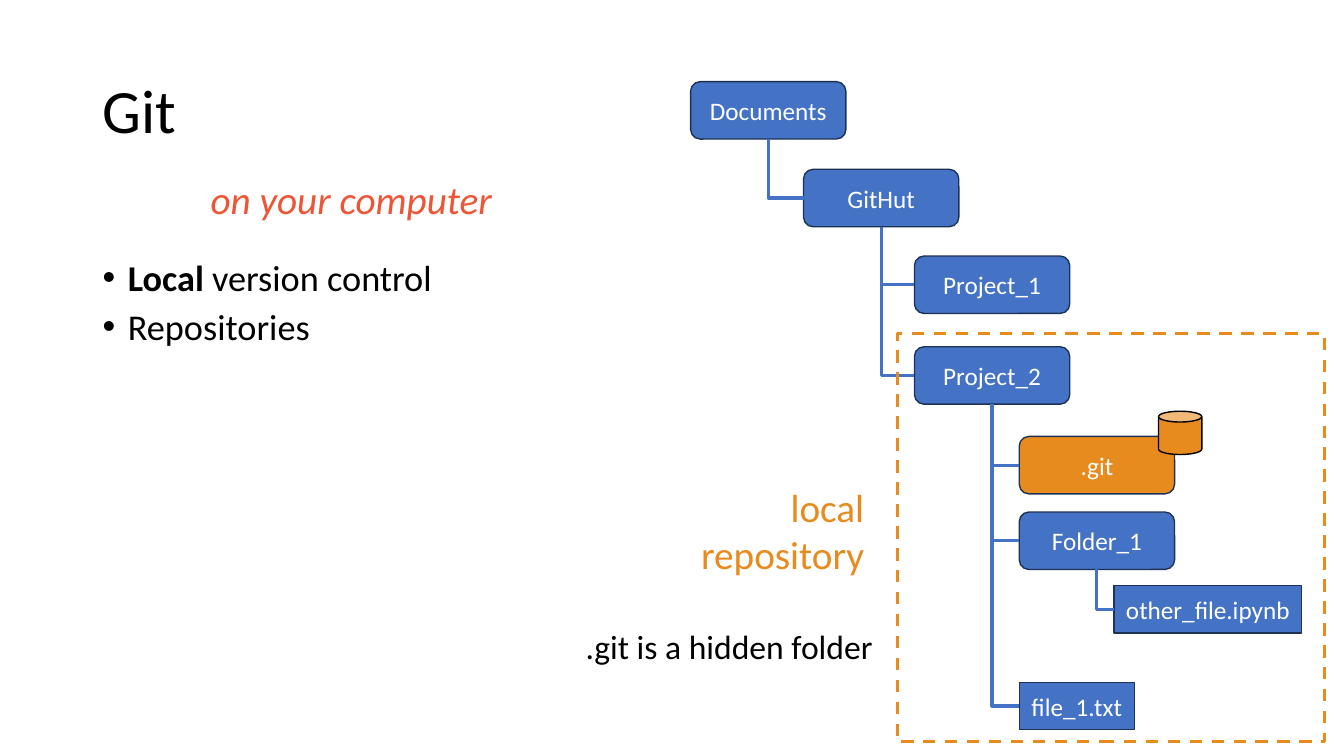
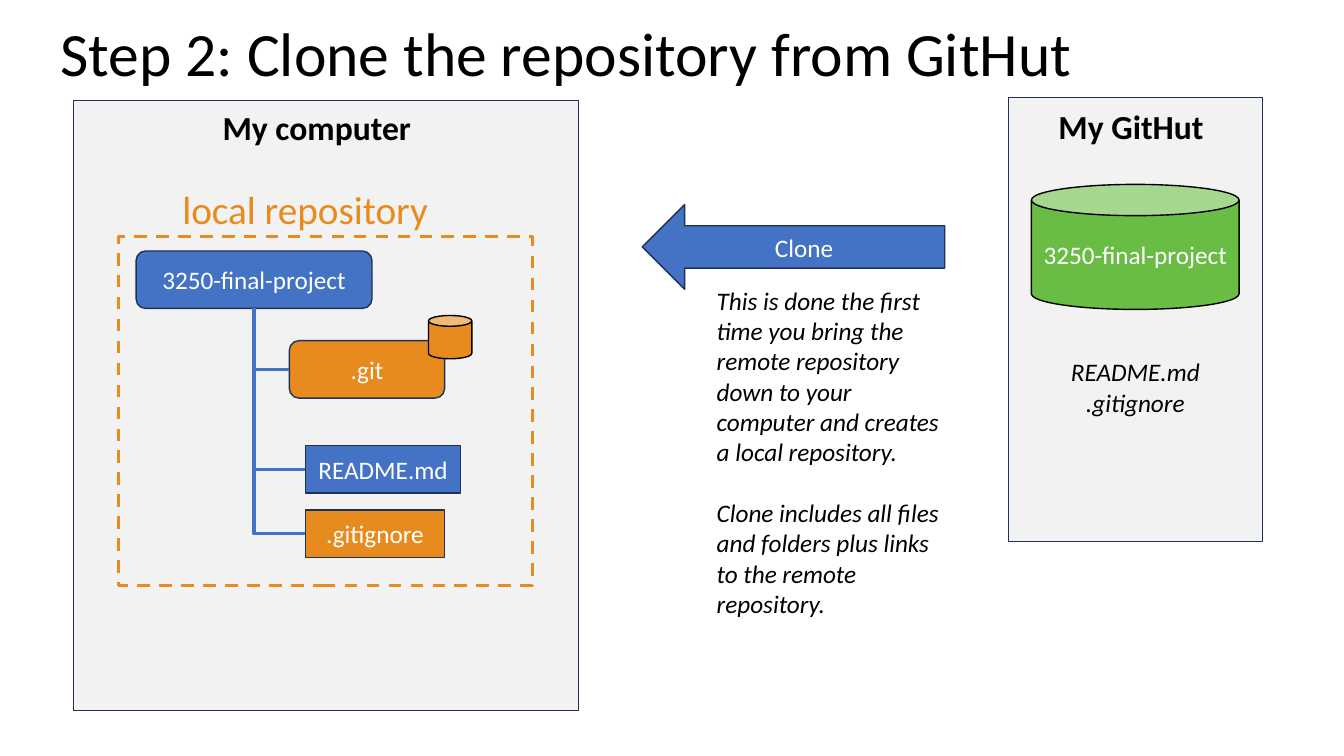
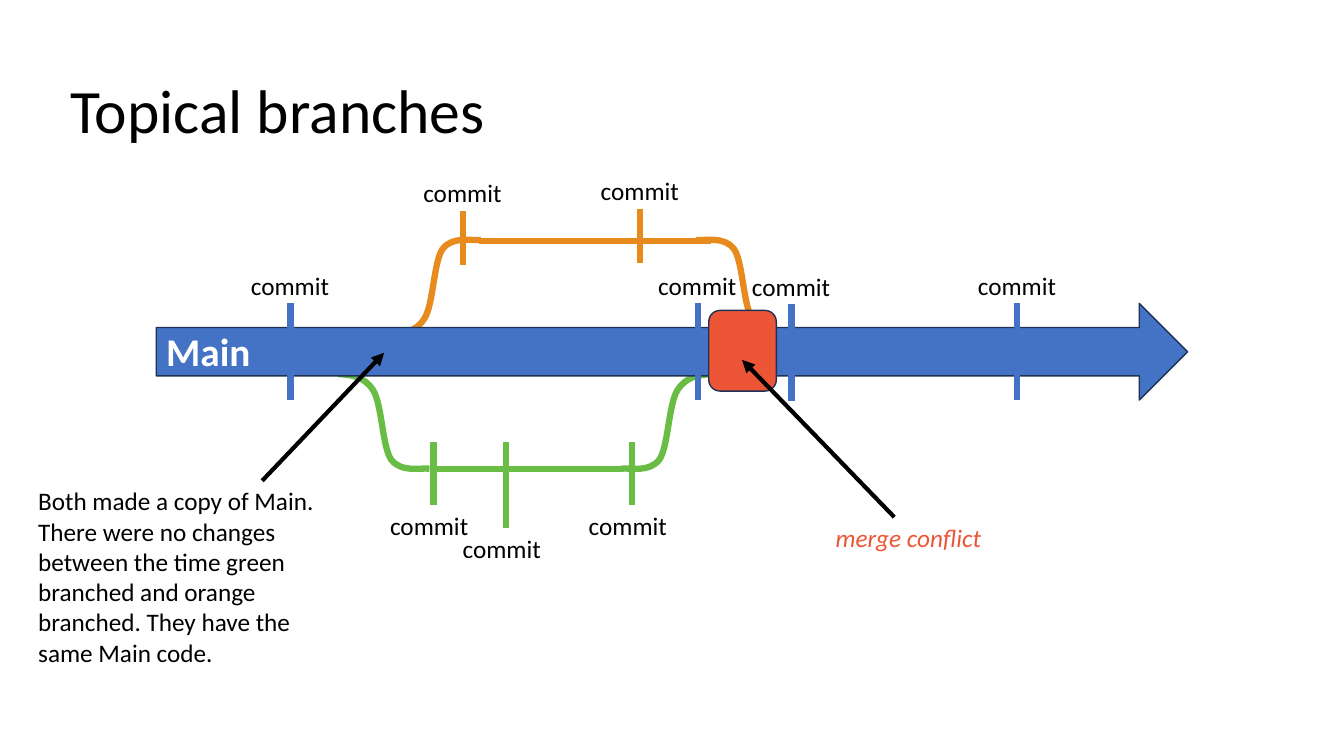
from lxml.etree import SubElement
from pptx import Presentation
from pptx.dml.color import RGBColor
from pptx.enum.dml import MSO_LINE
from pptx.enum.shapes import MSO_CONNECTOR, MSO_SHAPE
from pptx.enum.text import MSO_ANCHOR, PP_ALIGN
from pptx.oxml.ns import qn
from pptx.util import Inches, Pt

FONT = "Calibri"
BLACK, WHITE, PANEL = "000000", "FFFFFF", "F2F2F2"
BLUE, NAVY, ORANGE, GREEN, RED = "4472C4", "1E3256", "E88B1F", "6ABD44", "EC5637"

LEFT_SIDE, BOTTOM_SIDE = 1, 2
BRANCH_CURVE = [
    (0.13, 0.01), (0.26, 0.02), (0.35, 0.16),
    (0.44, 0.3), (0.44, 0.72), (0.53, 0.85),
    (0.63, 0.98), (0.81, 0.93), (0.91, 0.94),
]


def color(value):
    return RGBColor.from_string(value)


def write(frame, text, size=18, ink=BLACK, bold=False, italic=False, align=PP_ALIGN.LEFT,
          anchor=MSO_ANCHOR.TOP, wrap=True, spacing=None, before=0, bullet=False):
    frame.word_wrap = wrap
    frame.vertical_anchor = anchor
    for index, line in enumerate(text.split("\n")):
        para = frame.paragraphs[0] if index == 0 else frame.add_paragraph()
        if bullet:
            properties = para._p.get_or_add_pPr()
            properties.set("marL", str(Inches(0.25)))
            properties.set("indent", str(-Inches(0.25)))
            SubElement(properties, qn("a:buFont"), typeface="Arial")
            SubElement(properties, qn("a:buChar"), char="•")
        para.alignment = align
        if spacing:
            para.line_spacing = spacing
        if index and before:
            para.space_before = Pt(before)
        for part, piece in enumerate(line.split("**")):
            if piece:
                span = para.add_run()
                span.text = piece
                font = span.font
                font.name, font.size = FONT, Pt(size)
                font.bold, font.italic = bold or part % 2 == 1, italic
                font.color.rgb = color(ink)


class Deck:
    def __init__(self):
        self.deck = Presentation()
        self.deck.slide_width, self.deck.slide_height = Inches(13.33), Inches(7.5)
        self.page = None

    def add_page(self, title, left, top=0.4, width=11.5, height=1.45):
        self.page = self.deck.slides.add_slide(self.deck.slide_layouts[6])
        self.text(title, left, top, width, height, size=44, spacing=0.9,
                  anchor=MSO_ANCHOR.MIDDLE)

    def text(self, text, left, top, width, height, **style):
        box = self.page.shapes.add_textbox(*map(Inches, (left, top, width, height)))
        write(box.text_frame, text, **style)

    def shape(self, kind, left, top, width, height, text="", fill=BLUE, line=NAVY,
              weight=1, dashed=False):
        shape = self.page.shapes.add_shape(kind, *map(Inches, (left, top, width, height)))
        shape.shadow.inherit = False
        if fill:
            shape.fill.solid()
            shape.fill.fore_color.rgb = color(fill)
        else:
            shape.fill.background()
        shape.line.color.rgb = color(line)
        shape.line.width = Pt(weight)
        if dashed:
            shape.line.dash_style = MSO_LINE.DASH
        if text:
            write(shape.text_frame, text, ink=WHITE, align=PP_ALIGN.CENTER,
                  anchor=MSO_ANCHOR.MIDDLE)
        return shape

    def folder(self, text, left, top, width=1.54, fill=BLUE):
        return self.shape(MSO_SHAPE.ROUNDED_RECTANGLE, left, top, width, 0.57, text, fill)

    def file(self, text, left, top, width, fill=BLUE):
        return self.shape(MSO_SHAPE.RECTANGLE, left, top, width, 0.47, text, fill)

    def store(self, left, top, width=0.43, height=0.43, text="", fill=ORANGE):
        self.shape(MSO_SHAPE.CAN, left, top, width, height, text, fill, BLACK)

    def repository_frame(self, left, top, width, height):
        self.shape(MSO_SHAPE.RECTANGLE, left, top, width, height, fill=None, line=ORANGE,
                   weight=2.25, dashed=True)

    def panel(self, left, top, width, height):
        self.shape(MSO_SHAPE.RECTANGLE, left, top, width, height, fill=PANEL)

    def line(self, start, end, ink, weight, kind=MSO_CONNECTOR.STRAIGHT, arrow=False):
        line = self.page.shapes.add_connector(kind, *map(Inches, (*start, *end)))
        line.line.color.rgb = color(ink)
        line.line.width = Pt(weight)
        properties = line._element.spPr
        if arrow:
            SubElement(properties.find(qn("a:ln")), qn("a:tailEnd"), type="triangle")
        SubElement(properties, qn("a:effectLst"))
        return line

    def branches(self, parent, *children):
        for child in children:
            elbow = self.line((0, 0), (1, 1), BLUE, 2.25, MSO_CONNECTOR.ELBOW)
            elbow._element.spPr.find(qn("a:prstGeom")).set("prst", "bentConnector2")
            elbow.begin_connect(child, LEFT_SIDE)
            elbow.end_connect(parent, BOTTOM_SIDE)

    def curve(self, left, top, across, down, ink):
        builder = self.page.shapes.build_freeform(Inches(left), Inches(top))
        builder.add_line_segments(
            [(Inches(left + across * x), Inches(top + down * y)) for x, y in BRANCH_CURVE],
            close=False)
        shape = builder.convert_to_shape()
        outline = next(shape._element.spPr.iter(qn("a:path")))
        segments = outline.findall(qn("a:lnTo"))
        for first in range(0, len(segments), 3):
            bend = SubElement(outline, qn("a:cubicBezTo"))
            for segment in segments[first:first + 3]:
                bend.append(segment[0])
                outline.remove(segment)
        shape.shadow.inherit = False
        shape.fill.background()
        shape.line.color.rgb = color(ink)
        shape.line.width = Pt(4.5)

    def commit(self, x, top, length, ink, below=False):
        self.line((x, top), (x, top + length), ink, 4.5)
        left, label_top = (x - 0.53, top + length) if below else (x - 0.49, top - 0.38)
        self.text("commit", left, label_top, 0.99, 0.4, wrap=False)


def local_page(deck):
    deck.add_page("Git", 0.92)
    deck.text("**Local** version control\nRepositories", 0.92, 2.57, 4.17, 0.91, size=25.9,
              spacing=0.8, before=10, bullet=True)
    documents = deck.folder("Documents", 6.85, 0.81)
    hub = deck.folder("GitHut", 7.97, 1.68)
    first = deck.folder("Project_1", 9.07, 2.54)
    second = deck.folder("Project_2", 9.07, 3.44)
    git = deck.folder(".git", 10.11, 4.33, fill=ORANGE)
    subfolder = deck.folder("Folder_1", 10.11, 5.08)
    text_file = deck.file("file_1.txt", 10.11, 6.77, 1.14)
    notebook = deck.file("other_file.ipynb", 11.05, 5.81, 1.86)
    deck.branches(documents, hub)
    deck.branches(hub, first, second)
    deck.branches(second, git, subfolder, text_file)
    deck.branches(subfolder, notebook)
    deck.repository_frame(8.9, 3.31, 4.24, 4.05)
    deck.text("local\nrepository", 6.83, 4.75, 1.84, 1.04, size=28, ink=ORANGE,
              align=PP_ALIGN.RIGHT, wrap=False)
    deck.text(".git is a hidden folder", 5.71, 6.16, 3.3, 0.91, size=24)
    deck.store(11.49, 4.08)
    deck.text("on your computer", 1.99, 1.69, 3.02, 0.57, size=28, ink=RED, italic=True,
              wrap=False)


def clone_page(deck):
    deck.add_page("Step 2: Clone the repository from GitHut", 0.5, 0.16, 11.32, 0.81)
    deck.panel(0.73, 1, 5.01, 6.05)
    deck.text("My computer", 2.11, 1.01, 2.24, 0.5, size=24, bold=True)
    deck.shape(MSO_SHAPE.LEFT_ARROW, 6.37, 2.03, 3, 0.84, "Clone")
    deck.panel(10, 0.97, 2.52, 4.4)
    deck.store(10.23, 1.83, 2.06, 1.24, "3250-final-project", GREEN)
    deck.text("My GitHut", 10.4, 1, 1.9, 0.5, size=24, bold=True)
    deck.text("README.md\n.gitignore", 10, 3.49, 2.52, 1.01, italic=True,
              align=PP_ALIGN.CENTER)
    project = deck.folder("3250-final-project", 1.35, 2.49, 2.34)
    git = deck.folder(".git", 2.87, 3.38, fill=ORANGE)
    readme = deck.file("README.md", 3.03, 4.42, 1.54)
    ignore = deck.file(".gitignore", 3.03, 5.06, 1.38, ORANGE)
    deck.branches(project, git, readme, ignore)
    deck.repository_frame(1.18, 2.35, 4.1, 3.46)
    deck.store(4.25, 3.13)
    deck.text("local repository", 1.71, 1.79, 2.66, 0.57, size=28, ink=ORANGE, wrap=False)
    deck.text("This is done the first time you bring the remote repository down to your "
              "computer and creates a local repository.\n"
              "Clone includes all files and folders plus links to the remote repository.",
              7.01, 2.78, 2.52, 3.43, italic=True, before=22)


def branches_page(deck):
    deck.add_page("Topical branches", 0.6)
    for left, top, across, down, ink in (
            (3.86, 3.32, 1, -1, ORANGE), (7.81, 3.32, -1, -1, ORANGE),
            (3.35, 3.71, 1, 1, GREEN), (7.07, 3.71, -1, 1, GREEN)):
        deck.curve(left, top, across, down, ink)
    deck.shape(MSO_SHAPE.RIGHT_ARROW, 1.55, 3.01, 10.23, 0.96)
    deck.text("Main", 1.55, 3.2, 1.05, 0.57, size=28, ink=WHITE, bold=True, wrap=False)
    deck.line((4.26, 4.65), (6.16, 4.65), GREEN, 4.5)
    deck.line((4.75, 2.39), (7.05, 2.39), ORANGE, 4.5)
    for x, top in ((2.88, 3.01), (6.92, 3.01), (7.85, 3.02), (10.09, 3.01)):
        deck.commit(x, top, 0.96, BLUE)
    for x, length in ((4.3, 0.62), (5.02, 0.85), (6.27, 0.62)):
        deck.commit(x, 4.39, length, GREEN, below=True)
    for x, top in ((4.59, 2.09), (6.35, 2.07)):
        deck.commit(x, top, 0.54, ORANGE)
    deck.text("Both made a copy of Main. There were no changes between the time green "
              "branched and orange branched. They have the same Main code.",
              0.28, 4.77, 3.25, 1.92)
    deck.line((2.6, 4.77), (3.81, 3.5), BLACK, 3, arrow=True)
    deck.shape(MSO_SHAPE.ROUNDED_RECTANGLE, 7.03, 3.08, 0.67, 0.8, fill=RED)
    deck.text("merge conflict", 8.19, 5.13, 1.74, 0.4, ink=RED, italic=True)
    deck.line((8.87, 5.13), (7.36, 3.57), BLACK, 3, arrow=True)


def main():
    deck = Deck()
    local_page(deck)
    clone_page(deck)
    branches_page(deck)
    deck.deck.save("out.pptx")


if __name__ == "__main__":
    main()
